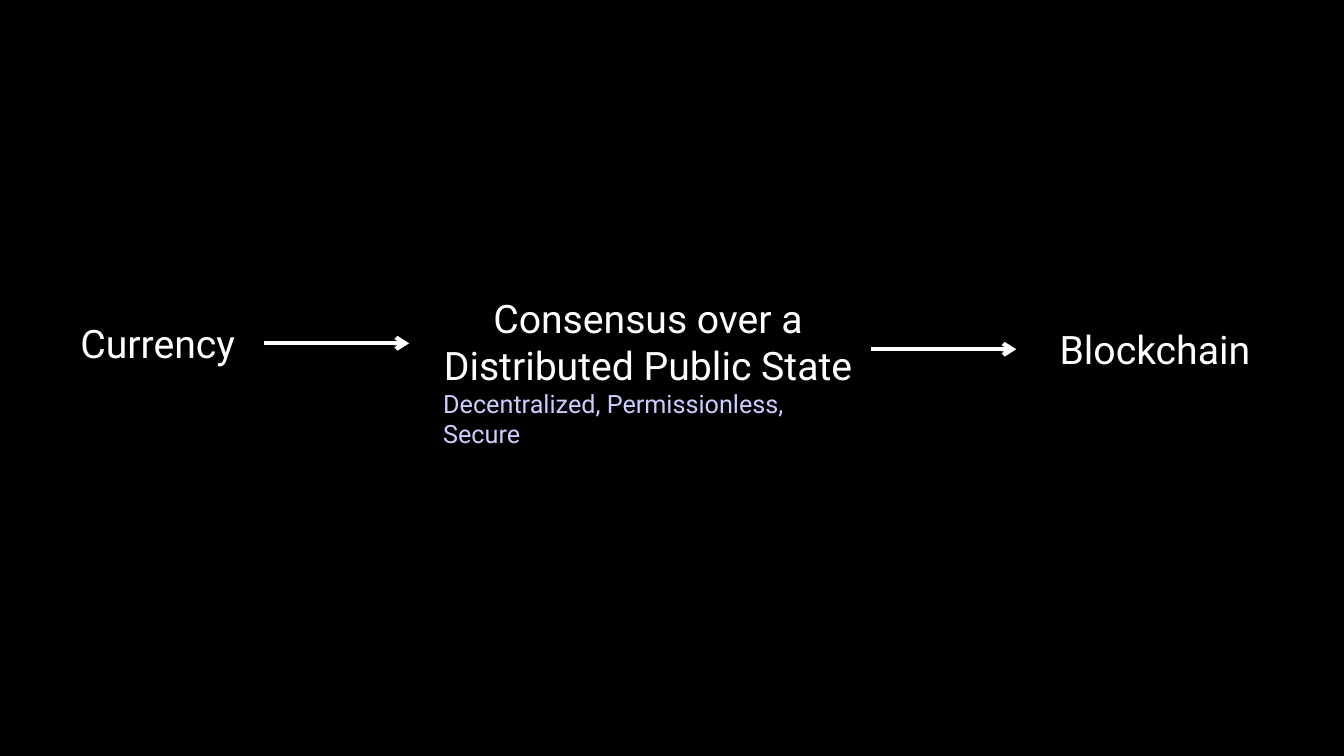
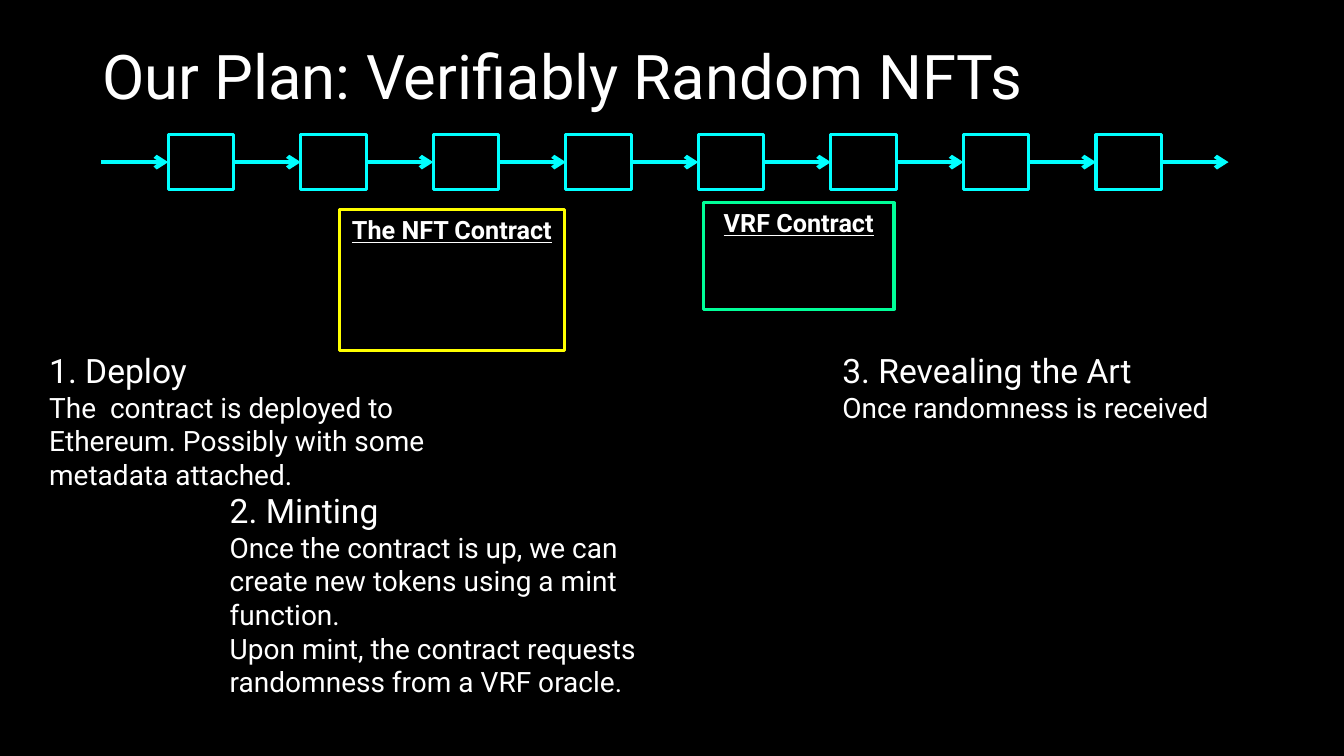
"""Builds two slides on blockchain consensus and a plan for verifiably random NFTs."""
from dataclasses import dataclass

from lxml import etree
from pptx import Presentation
from pptx.dml.color import RGBColor
from pptx.enum.shapes import MSO_CONNECTOR, MSO_SHAPE
from pptx.enum.text import MSO_ANCHOR, PP_ALIGN
from pptx.oxml.ns import qn
from pptx.util import Cm, Pt

LEFT, CENTER = PP_ALIGN.LEFT, PP_ALIGN.CENTER
TOP, MIDDLE = MSO_ANCHOR.TOP, MSO_ANCHOR.MIDDLE
RECTANGLE = MSO_SHAPE.RECTANGLE
STRAIGHT = MSO_CONNECTOR.STRAIGHT
LEFT_SIDE, RIGHT_SIDE = 1, 3
BLANK_LAYOUT = 6


@dataclass(frozen=True)
class Theme:
    """Colours, font and sizes shared by the slides."""
    font: str = "Roboto"
    background: str = "000000"
    text: str = "FFFFFF"
    note: str = "CCCCFF"
    chain: str = "00FFFF"
    nft: str = "FFFF00"
    vrf: str = "00FF99"
    title_size: float = 44
    concept_size: float = 28
    heading_size: float = 24
    body_size: float = 20
    label_size: float = 18
    outline: float = 2.25
    arrow: float = 3


class Deck:
    """Holds the theme and the current slide, and draws each kind of element."""

    def __init__(self, theme):
        """Starts an empty widescreen presentation."""
        self.theme = theme
        self.presentation = Presentation()
        self.presentation.slide_width = Cm(33.87)
        self.presentation.slide_height = Cm(19.05)
        self.slide = None

    def new_slide(self):
        """Adds a blank slide with the shared background."""
        layout = self.presentation.slide_layouts[BLANK_LAYOUT]
        self.slide = self.presentation.slides.add_slide(layout)
        fill = self.slide.background.fill
        fill.solid()
        fill.fore_color.rgb = RGBColor.from_string(self.theme.background)

    def style(self, paragraph, size, color=None, align=LEFT, strong=False):
        """Aligns a paragraph and formats its runs."""
        paragraph.alignment = align
        for run in paragraph.runs:
            run.font.name = self.theme.font
            run.font.size = Pt(size)
            run.font.color.rgb = RGBColor.from_string(color or self.theme.text)
            if strong:
                run.font.bold = run.font.underline = True

    def text(self, box, lines, sizes, color=None, align=LEFT, anchor=TOP):
        """Adds a text box, repeating the last size for any further lines."""
        frame = self.slide.shapes.add_textbox(*map(Cm, box)).text_frame
        frame.word_wrap = True
        frame.vertical_anchor = anchor
        frame.text = "\n".join(lines)
        for index, paragraph in enumerate(frame.paragraphs):
            size = sizes[min(index, len(sizes) - 1)]
            self.style(paragraph, size, color, align)
        return frame

    def title(self, wording):
        """Adds the slide title."""
        frame = self.text((2.33, 0.8, 29.21, 2.4), [wording],
                          [self.theme.title_size], anchor=MIDDLE)
        frame.paragraphs[0].line_spacing = 0.9

    def concept(self, box, wording):
        """Adds a centred concept name."""
        self.text(box, [wording], [self.theme.concept_size], align=CENTER)

    def step(self, left, top, height, heading, *details):
        """Adds a numbered step with its explanation."""
        self.text((left, top, 12.34, height), [heading, *details],
                  [self.theme.heading_size, self.theme.body_size])

    def frame(self, box, color, label=""):
        """Adds an outlined rectangle with an optional heading inside."""
        rectangle = self.slide.shapes.add_shape(RECTANGLE, *map(Cm, box))
        rectangle.shadow.inherit = False
        rectangle.fill.background()
        rectangle.line.color.rgb = RGBColor.from_string(color)
        rectangle.line.width = Pt(self.theme.outline)
        if label:
            rectangle.text_frame.text = label
            rectangle.text_frame.vertical_anchor = TOP
            self.style(rectangle.text_frame.paragraphs[0],
                       self.theme.label_size, align=CENTER, strong=True)
        return rectangle

    def arrow(self, start, end, y, color, source=None, target=None):
        """Adds a horizontal arrow, joined to any given rectangles."""
        connector = self.slide.shapes.add_connector(
            STRAIGHT, Cm(start), Cm(y), Cm(end), Cm(y))
        if source is not None:
            connector.begin_connect(source, RIGHT_SIDE)
        if target is not None:
            connector.end_connect(target, LEFT_SIDE)
        connector.line.color.rgb = RGBColor.from_string(color)
        connector.line.width = Pt(self.theme.arrow)
        properties = connector.element.spPr
        etree.SubElement(properties.find(qn("a:ln")), qn("a:tailEnd"), type="arrow")
        etree.SubElement(properties, qn("a:effectLst"))

    def chain(self, left, top, width, height, pitch, count):
        """Adds a row of equally spaced blocks linked by arrows."""
        color = self.theme.chain
        lefts = [left + index * pitch for index in range(count)]
        blocks = [self.frame((x, top, width, height), color) for x in lefts]
        gap = pitch - width
        sources, targets = [None, *blocks], [*blocks, None]
        for index, (source, target) in enumerate(zip(sources, targets)):
            end = left + index * pitch
            self.arrow(end - gap, end, top + height / 2, color, source, target)


def consensus_slide(deck):
    """Shows the path from currency to blockchain."""
    theme = deck.theme
    deck.new_slide()
    deck.concept((0.76, 7.92, 6.43, 1.45), "Currency")
    deck.concept((10.54, 7.29, 11.58, 2.64), "Consensus over a Distributed Public State")
    deck.concept((26.21, 8.08, 5.79, 1.45), "Blockchain")
    deck.text((10.92, 9.65, 10.77, 1.02), ["Decentralized, Permissionless, Secure"],
              [theme.label_size], theme.note)
    for start, y in ((6.65, 8.65), (21.95, 8.8)):
        deck.arrow(start, start + 3.66, y, theme.text)


def plan_slide(deck):
    """Shows the block chain, the two contracts and the three steps."""
    theme = deck.theme
    deck.new_slide()
    deck.title("Our Plan: Verifiably Random NFTs")
    deck.chain(4.24, 3.4, 1.65, 1.37, 3.34, 8)
    deck.step(0.99, 8.69, 3, "1. Deploy",
              "The  contract is deployed to Ethereum. Possibly with some metadata attached.")
    deck.step(5.54, 12.22, 4.7, "2. Minting",
              "Once the contract is up, we can create new tokens using a mint function.",
              "Upon mint, the contract requests randomness from a VRF oracle.")
    deck.step(20.98, 8.69, 2.13, "3. Revealing the Art", "Once randomness is received")
    deck.frame((8.56, 5.28, 5.66, 3.56), theme.nft, "The NFT Contract")
    deck.frame((17.73, 5.11, 4.8, 2.69), theme.vrf, "VRF Contract")


def main():
    """Builds and saves the presentation."""
    deck = Deck(Theme())
    consensus_slide(deck)
    plan_slide(deck)
    deck.presentation.save("out.pptx")


if __name__ == "__main__":
    main()
